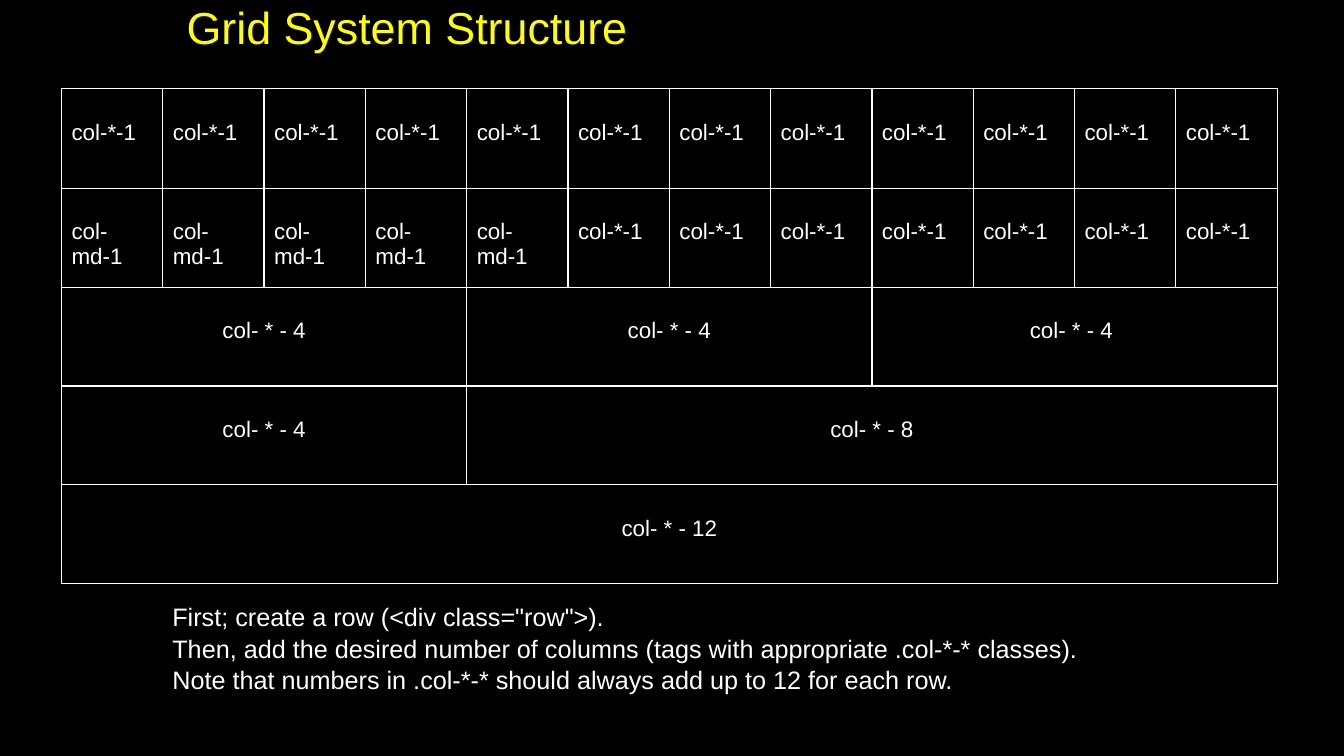
"""Build a slide that explains the twelve-column grid system."""
from lxml import etree
from pptx import Presentation, util as u
from pptx.dml.color import RGBColor
from pptx.enum import text
from pptx.oxml.ns import qn

THEME = {
    "font": "Arial", "back": "000000", "title": "FFFF00", "ink": "FFFFFF",
    "title_size": 32, "cell_size": 16, "note_size": 18, "rule": 1,
}
COLS = 12
ROW_HEIGHTS = [0.99] + [0.98] * 4
ROWS = [
    [("col-*-1", 1)] * 12,
    [("col-md-1", 1)] * 5 + [("col-*-1", 1)] * 7,
    [("col- * - 4", 4), ("col- * - 4", 4), ("col- * - 4 ", 4)],
    [("col- * - 4", 4), ("col- * - 8", 8)],
    [("col- * - 12", 12)],
]
NOTES = [
    'First; create a row (<div class="row">).',
    "Then, add the desired number of columns (tags with appropriate .col-*-* classes).",
    "Note that numbers in .col-*-* should always add up to 12 for each row.",
]


def add_run(p, words, size, color):
    r = p.add_run()
    r.text = words
    r.font.name = THEME["font"]
    r.font.size = u.Pt(size)
    r.font.color.rgb = RGBColor.from_string(color)


def add_borders(cell):
    tcPr = cell._tc.get_or_add_tcPr()
    for side in ("lnL", "lnR", "lnT", "lnB"):
        ln = etree.SubElement(tcPr, qn(f"a:{side}"), w=str(u.Pt(THEME["rule"])))
        fill = etree.SubElement(ln, qn("a:solidFill"))
        etree.SubElement(fill, qn("a:srgbClr"), val=THEME["ink"])


prs = Presentation()
prs.slide_width, prs.slide_height = u.Inches(13.33), u.Inches(7.5)
s = prs.slides.add_slide(prs.slide_layouts[1])
s.background.fill.solid()
s.background.fill.fore_color.rgb = RGBColor.from_string(THEME["back"])

title, notes = s.shapes.title, s.placeholders[1]
for sp, box in ((title, (1.75, -0.28, 9.4, 1.16)), (notes, (1.61, 5.9, 9.33, 1.31))):
    sp.left, sp.top, sp.width, sp.height = map(u.Inches, box)
    sp.text_frame.auto_size = text.MSO_AUTO_SIZE.NONE

title.text_frame.vertical_anchor = text.MSO_ANCHOR.MIDDLE
p = title.text_frame.paragraphs[0]
p.alignment = text.PP_ALIGN.LEFT
p.line_spacing = 0.9
add_run(p, "Grid System Structure", THEME["title_size"], THEME["title"])

frame = s.shapes.add_table(len(ROWS), COLS, u.Inches(0.61), u.Inches(0.88),
                           u.Inches(12.06), u.Inches(sum(ROW_HEIGHTS)))
table = frame.table
table.first_row = table.horz_banding = False
for column in table.columns:
    column.width = u.Inches(12.06 / COLS)

for i, (row, height) in enumerate(zip(ROWS, ROW_HEIGHTS)):
    table.rows[i].height = u.Inches(height)
    for cell in table.rows[i].cells:
        add_borders(cell)
        cell.fill.background()
        cell.margin_top = u.Inches(0.31)
    start = 0
    for label, span in row:
        cell = table.cell(i, start)
        p = cell.text_frame.paragraphs[0]
        if span > 1:
            cell.merge(table.cell(i, start + span - 1))
            p.alignment = text.PP_ALIGN.CENTER
        add_run(p, label, THEME["cell_size"], THEME["ink"])
        start += span

tf = notes.text_frame
tf.vertical_anchor = text.MSO_ANCHOR.TOP
for i, line in enumerate(NOTES):
    p = tf.add_paragraph() if i else tf.paragraphs[0]
    p.space_before = u.Pt(0)
    p.line_spacing = 1.05
    pPr = p._p.get_or_add_pPr()
    pPr.set("marL", "0")
    pPr.set("indent", "0")
    etree.SubElement(pPr, qn("a:buNone"))
    add_run(p, line, THEME["note_size"], THEME["ink"])

prs.save("out.pptx")
